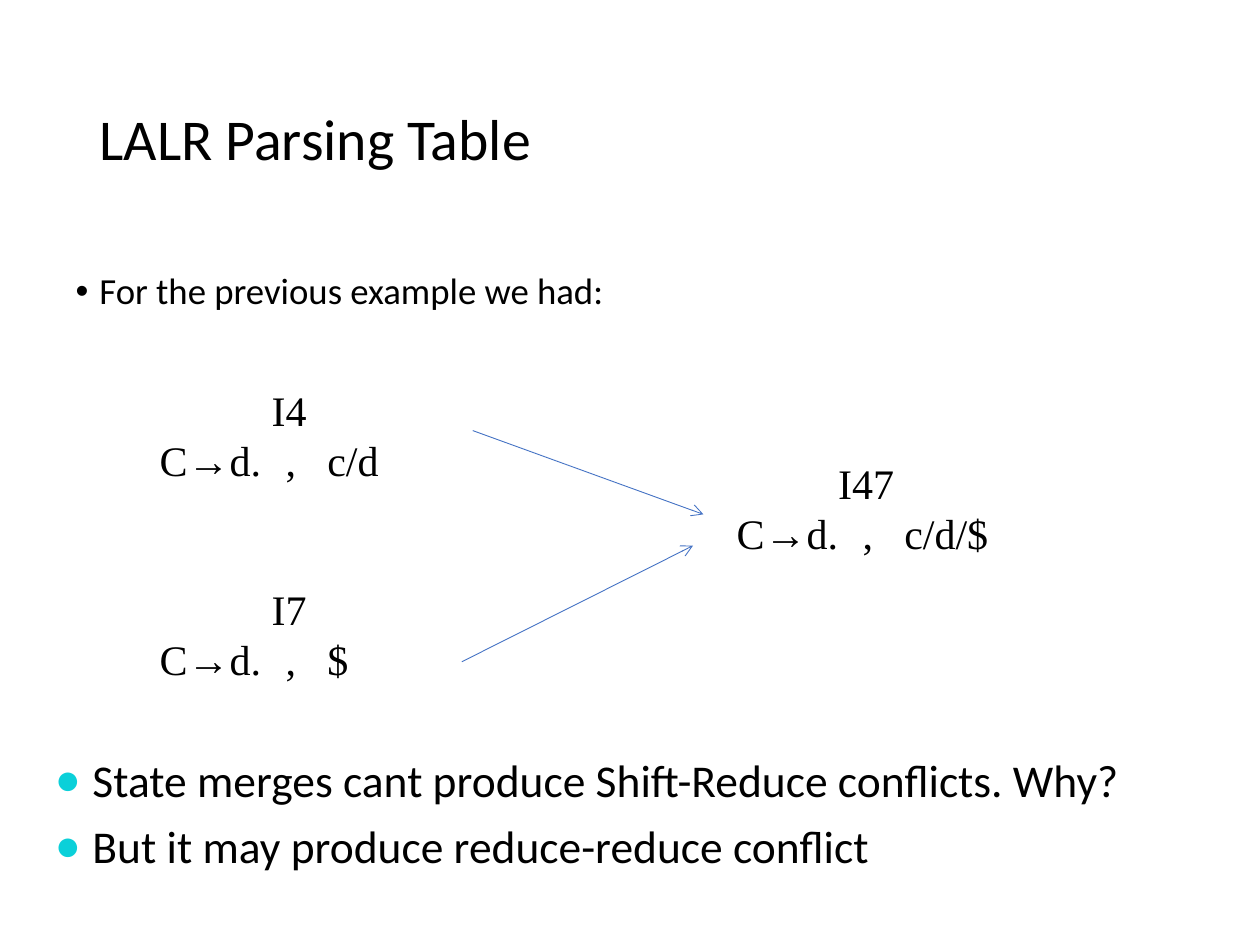
"""Builds the slide on merging states in an LALR parsing table."""
from dataclasses import dataclass

from lxml.etree import SubElement
from pptx import Presentation
from pptx.dml.color import RGBColor
from pptx.enum.shapes import MSO_CONNECTOR as Connector
from pptx.enum.text import MSO_ANCHOR as Anchor, MSO_AUTO_SIZE as AutoSize, PP_ALIGN as Align
from pptx.oxml.ns import qn
from pptx.util import Cm, Pt

BLACK = RGBColor(0x00, 0x00, 0x00)
CYAN = RGBColor(0x0B, 0xD0, 0xD9)
BLUE = RGBColor(0x44, 0x72, 0xC4)
SANS, SERIF = "Calibri", "Times New Roman"
STATE_WIDTH, STATE_HEIGHT = 5.72, 3.3
STATE_TABS = (2.54, 3.38)


@dataclass(frozen=True)
class State:
    name: str
    lookahead: str
    left: float
    top: float


@dataclass(frozen=True)
class Arrow:
    start: tuple[float, float]
    end: tuple[float, float]


@dataclass(frozen=True)
class BulletList:
    lines: tuple[str, ...]
    box: tuple[float, float, float, float]
    size: float
    symbol: str
    color: RGBColor
    percent: int
    indent: float
    line_spacing: float
    gap: float


STATES = (
    State("I4", "c/d", 2.97, 7.62),
    State("I7", "$", 2.97, 11.64),
    State("I47", "c/d/$", 14.6, 9.1),
)
ARROWS = (
    Arrow((9.53, 8.68), (14.18, 10.37)),
    Arrow((9.31, 13.34), (13.97, 11.0)),
)
LISTS = (
    BulletList(("For the previous example we had:",), (1.27, 5.38, 22.86, 3.1),
               21, "•", BLACK, 100, 0.48, 0.9, 0),
    BulletList(("State merges cant produce Shift-Reduce conflicts. Why?",
                "But it may produce reduce-reduce conflict"), (0.85, 15.03, 22.86, 3.1),
               26, "●", CYAN, 95, 0.76, 1.0, 6.5),
)


def place(shape, left: float, top: float, width: float, height: float) -> None:
    """Move and size a shape, in centimetres."""
    shape.left, shape.top, shape.width, shape.height = map(Cm, (left, top, width, height))


def style(paragraph, name: str, size: float) -> None:
    """Set the font of a whole paragraph."""
    font = paragraph.font
    font.name, font.size = name, Pt(size)
    font.color.rgb = BLACK


def fill_title(title) -> None:
    """Place and format the slide title."""
    place(title, 1.75, 1.02, 21.92, 3.68)
    frame = title.text_frame
    frame.text = "LALR Parsing Table"
    frame.auto_size = AutoSize.NONE
    frame.vertical_anchor = Anchor.MIDDLE
    paragraph = frame.paragraphs[0]
    paragraph.alignment = Align.LEFT
    paragraph.line_spacing = 0.9
    style(paragraph, SANS, 33)


def add_bullet(paragraph, bullets: BulletList) -> None:
    """Give a paragraph its bullet and hanging indent."""
    properties = paragraph._p.get_or_add_pPr()
    properties.set("marL", str(Cm(bullets.indent)))
    properties.set("indent", str(-Cm(bullets.indent)))
    color = SubElement(properties, qn("a:buClr"))
    SubElement(color, qn("a:srgbClr"), val=str(bullets.color))
    SubElement(properties, qn("a:buSzPct"), val=str(bullets.percent * 1000))
    SubElement(properties, qn("a:buFont"), typeface="Arial")
    SubElement(properties, qn("a:buChar"), char=bullets.symbol)


def fill_list(placeholder, bullets: BulletList) -> None:
    """Place a body placeholder and fill it with a bullet list."""
    place(placeholder, *bullets.box)
    frame = placeholder.text_frame
    frame.text = "\n".join(bullets.lines)
    frame.auto_size = AutoSize.NONE
    for index, paragraph in enumerate(frame.paragraphs):
        add_bullet(paragraph, bullets)
        paragraph.line_spacing = bullets.line_spacing
        paragraph.space_before = Pt(bullets.gap if index else 0)
        style(paragraph, SANS, bullets.size)


def draw_state(slide, state: State) -> None:
    """Write a state's name above its item and lookahead."""
    box = slide.shapes.add_textbox(Cm(state.left), Cm(state.top), Cm(STATE_WIDTH), Cm(STATE_HEIGHT))
    frame = box.text_frame
    frame.word_wrap = True
    frame.text = f"{state.name}\nC→d.\t,\t{state.lookahead}"
    heading, item = frame.paragraphs
    heading.alignment = Align.CENTER
    tabs = SubElement(item._p.get_or_add_pPr(), qn("a:tabLst"))
    for position in STATE_TABS:
        SubElement(tabs, qn("a:tab"), pos=str(Cm(position)), algn="l")
    for paragraph in frame.paragraphs:
        style(paragraph, SERIF, 24)


def draw_arrow(slide, arrow: Arrow) -> None:
    """Draw a thin line with an open arrowhead at its end."""
    ends = map(Cm, (*arrow.start, *arrow.end))
    connector = slide.shapes.add_connector(Connector.STRAIGHT, *ends)
    connector.line.color.rgb = BLUE
    connector.line.width = Pt(0.5)
    SubElement(connector.line._get_or_add_ln(), qn("a:tailEnd"), type="arrow")
    SubElement(connector._element.spPr, qn("a:effectLst"))


def main() -> None:
    """Build and save the presentation."""
    presentation = Presentation()
    presentation.slide_width, presentation.slide_height = Cm(25.4), Cm(19.05)
    slide = presentation.slides.add_slide(presentation.slide_layouts.get_by_name("Two Content"))
    fill_title(slide.shapes.title)
    for index, bullets in enumerate(LISTS, start=1):
        fill_list(slide.placeholders[index], bullets)
    for state in STATES:
        draw_state(slide, state)
    for arrow in ARROWS:
        draw_arrow(slide, arrow)
    presentation.save("out.pptx")


if __name__ == "__main__":
    main()
